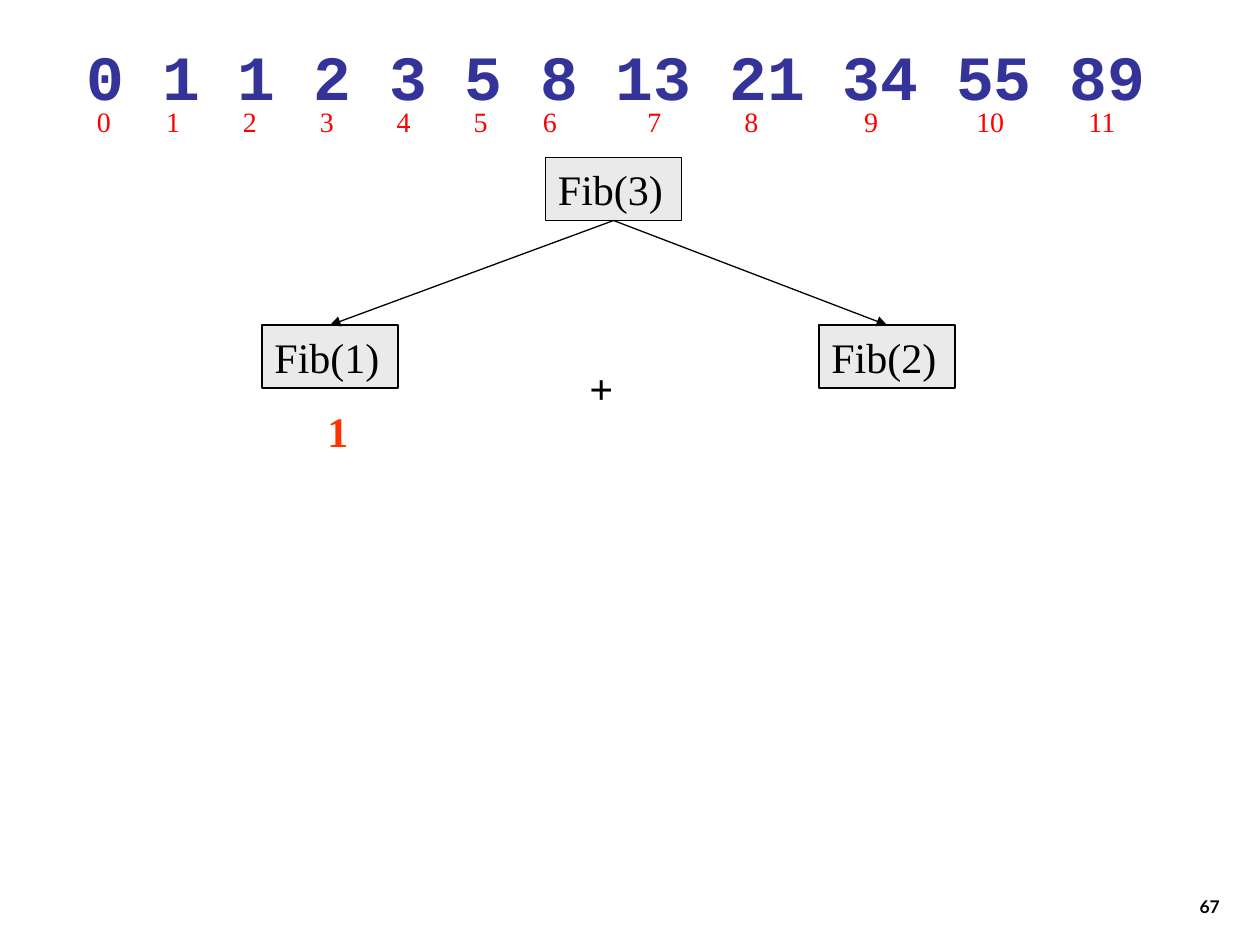
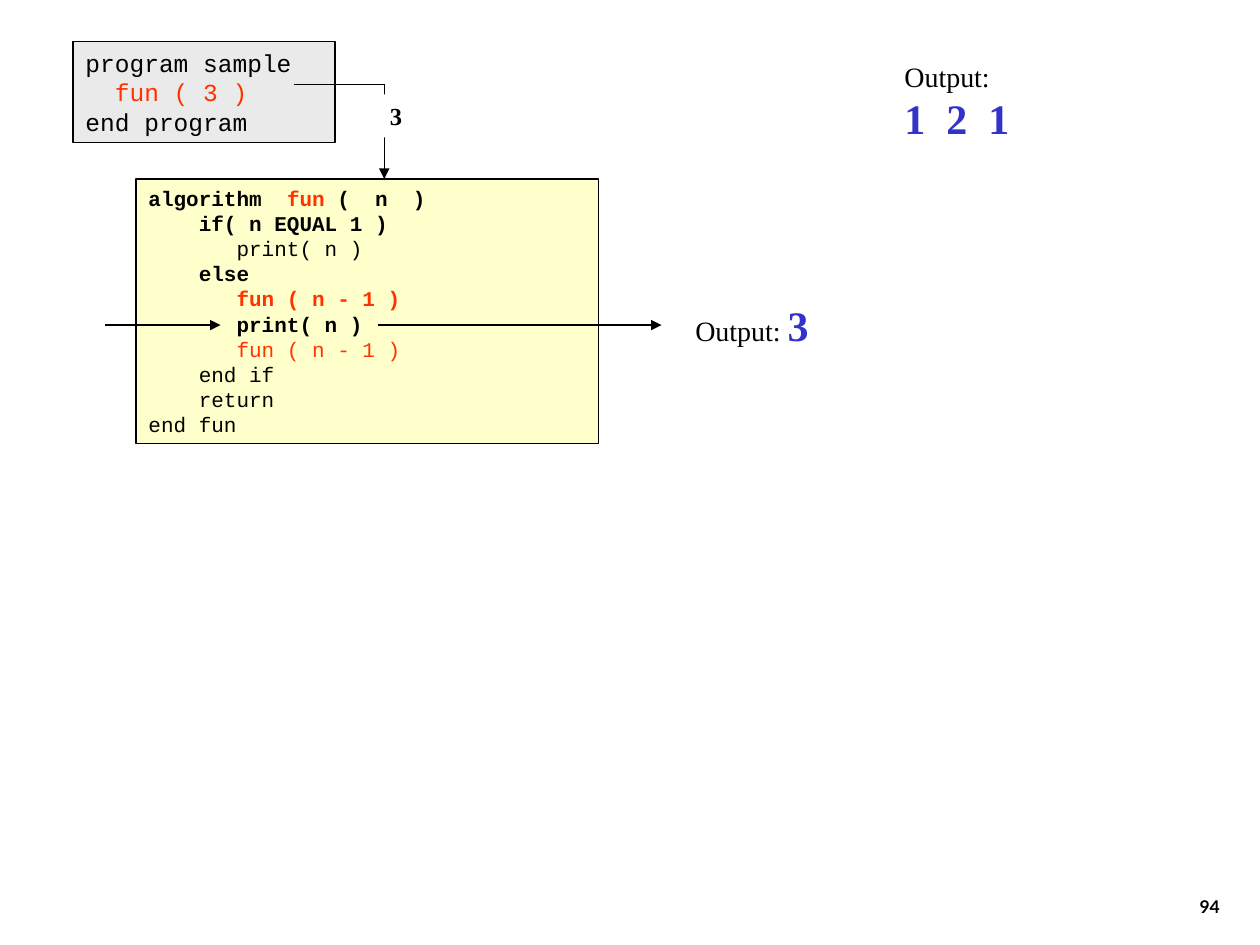
import lxml.etree
import pptx
import pptx.dml.color
import pptx.enum.shapes
import pptx.enum.text
import pptx.oxml.ns
import pptx.util

Inches = pptx.util.Inches
qn = pptx.oxml.ns.qn

SERIF = "Times New Roman"
MONO = "Courier New"
BLACK, WHITE, GRAY, CREAM = "000000", "FFFFFF", "EAEAEA", "FFFFCC"
NAVY, BLUE, ORANGE, RED = "333399", "3333CC", "FF3300", "FF0000"


def color(value):
    return pptx.dml.color.RGBColor.from_string(value)


class Deck:
    """Hold the shared style and draw elements on the current slide."""

    def __init__(self):
        self.presentation = pptx.Presentation()
        self.presentation.slide_width = Inches(10)
        self.presentation.slide_height = Inches(7.5)
        self.slide = None

    def new_slide(self, number):
        layout = self.presentation.slide_layouts[6]
        self.slide = self.presentation.slides.add_slide(layout)
        self.text((7.7, 6.83, 2.08, 0.5), [number], 10, "Lato", bold=True,
                  align=pptx.enum.text.PP_ALIGN.RIGHT,
                  anchor=pptx.enum.text.MSO_ANCHOR.BOTTOM)

    def set_lines(self, shape, lines, size, name=SERIF, ink=BLACK, bold=False,
                  align=pptx.enum.text.PP_ALIGN.LEFT,
                  anchor=pptx.enum.text.MSO_ANCHOR.TOP, tabs=()):
        """Fill a shape with lines; a line is a string or a list of (text, overrides)."""
        frame = shape.text_frame
        frame.word_wrap = True
        frame.vertical_anchor = anchor
        for index, line in enumerate(lines):
            paragraph = frame.add_paragraph() if index else frame.paragraphs[0]
            paragraph.alignment = align
            if tabs:
                tab_list = lxml.etree.SubElement(
                    paragraph._p.get_or_add_pPr(), qn("a:tabLst"))
                for stop in tabs:
                    lxml.etree.SubElement(tab_list, qn("a:tab"),
                                          pos=str(Inches(stop)), algn="l")
            self.style(paragraph.font, name=name, size=size, ink=ink, bold=bold)
            for text, overrides in [(line, {})] if isinstance(line, str) else line:
                run = paragraph.add_run()
                run.text = text
                self.style(run.font, **overrides)

    def style(self, font, name=None, size=None, ink=None, bold=None):
        if name:
            font.name = name
        if size:
            font.size = pptx.util.Pt(size)
        if ink:
            font.color.rgb = color(ink)
        if bold is not None:
            font.bold = bold

    def text(self, box, lines, size, *args, **style):
        shape = self.slide.shapes.add_textbox(*map(Inches, box))
        self.set_lines(shape, lines, size, *args, **style)

    def panel(self, box, lines, size, *args, fill=GRAY, outlined=True, **style):
        shape = self.slide.shapes.add_shape(
            pptx.enum.shapes.MSO_SHAPE.RECTANGLE, *map(Inches, box))
        shape.shadow.inherit = False
        shape.fill.solid()
        shape.fill.fore_color.rgb = color(fill)
        if outlined:
            shape.line.color.rgb = color(BLACK)
            shape.line.width = pptx.util.Pt(0.75)
        else:
            shape.line.fill.background()
        self.set_lines(shape, lines, size, *args, **style)
        return shape

    def line(self, start, end, arrow=True):
        connector = self.slide.shapes.add_connector(
            pptx.enum.shapes.MSO_CONNECTOR.STRAIGHT, *map(Inches, start + end))
        connector.line.color.rgb = color(BLACK)
        connector.line.width = pptx.util.Pt(0.75)
        properties = connector.element.spPr
        if arrow:
            lxml.etree.SubElement(properties.find(qn("a:ln")), qn("a:tailEnd"),
                                  type="triangle")
        lxml.etree.SubElement(properties, qn("a:effectLst"))
        return connector

    def branch(self, parent, child):
        connector = self.line((0, 0), (1, 1))
        connector.begin_connect(parent, 2)
        connector.end_connect(child, 0)


def fibonacci_slide(deck):
    deck.new_slide("67")
    deck.text((0.59, 0.25, 8.9, 0.7), ["0 1 1 2 3 5 8 13 21 34 55 89"], 36, MONO,
              NAVY, bold=True)
    index_stops = (0.55, 1.16, 1.77, 2.38, 2.99, 3.54, 4.37, 5.14, 6.09, 6.98, 7.87)
    deck.text((0.67, 0.78, 8.42, 0.37), ["\t".join(map(str, range(12)))], 16,
              ink=RED, tabs=index_stops)
    root, first, second = (
        deck.panel((left, top, 1.08, 0.5), [f"Fib({n})"], 24)
        for n, left, top in ((3, 4.33, 1.25), (1, 2.08, 2.58), (2, 6.5, 2.58)))
    deck.branch(root, first)
    deck.branch(root, second)
    deck.text((4.58, 2.83, 0.48, 0.5), ["+"], 24, bold=True)
    deck.text((2.5, 3.17, 0.42, 0.5), ["1"], 24, ink=ORANGE, bold=True)


def trace_slide(deck):
    deck.new_slide("94")
    strong, call, result = {"bold": True}, {"ink": ORANGE}, {
        "size": 24, "ink": BLUE, "bold": True}
    algorithm = [
        [("algorithm  ", strong), ("fun ", {**call, **strong}), ("(  n  )", strong)],
        [("    if( n EQUAL 1 )", strong)],
        "       print( n )",
        [("    else", strong)],
        [("       fun ( n - 1 )", {**call, **strong})],
        [("       print( n )", strong)],
        [("       fun ( n - 1 )", call)],
        "    end if",
        "    return",
        "end fun",
    ]
    deck.panel((1.08, 1.42, 3.67, 2.1), algorithm, 12, MONO, fill=CREAM)
    program = ["program sample", [("  fun ( 3 )", call)], "end program"]
    deck.panel((0.58, 0.33, 2.08, 0.8), program, 14, MONO)
    deck.text((7.08, 0.42, 2.42, 0.77), ["Output:", [("1  2  1", result)]], 16)
    deck.line((0.83, 2.58), (1.75, 2.58))
    deck.line((3, 2.58), (5.25, 2.58))
    deck.text((5.42, 2.33, 1.2, 0.5), [[("Output: ", {}), ("3", result)]], 16)
    deck.line((2.33, 0.67), (3.05, 0.67), arrow=False)
    deck.line((3.05, 0.67), (3.05, 1.42))
    deck.panel((2.9, 0.75, 0.39, 0.34), ["3"], 14, bold=True, fill=WHITE,
               outlined=False, align=pptx.enum.text.PP_ALIGN.RIGHT)


def main():
    deck = Deck()
    fibonacci_slide(deck)
    trace_slide(deck)
    deck.presentation.save("out.pptx")


if __name__ == "__main__":
    main()
